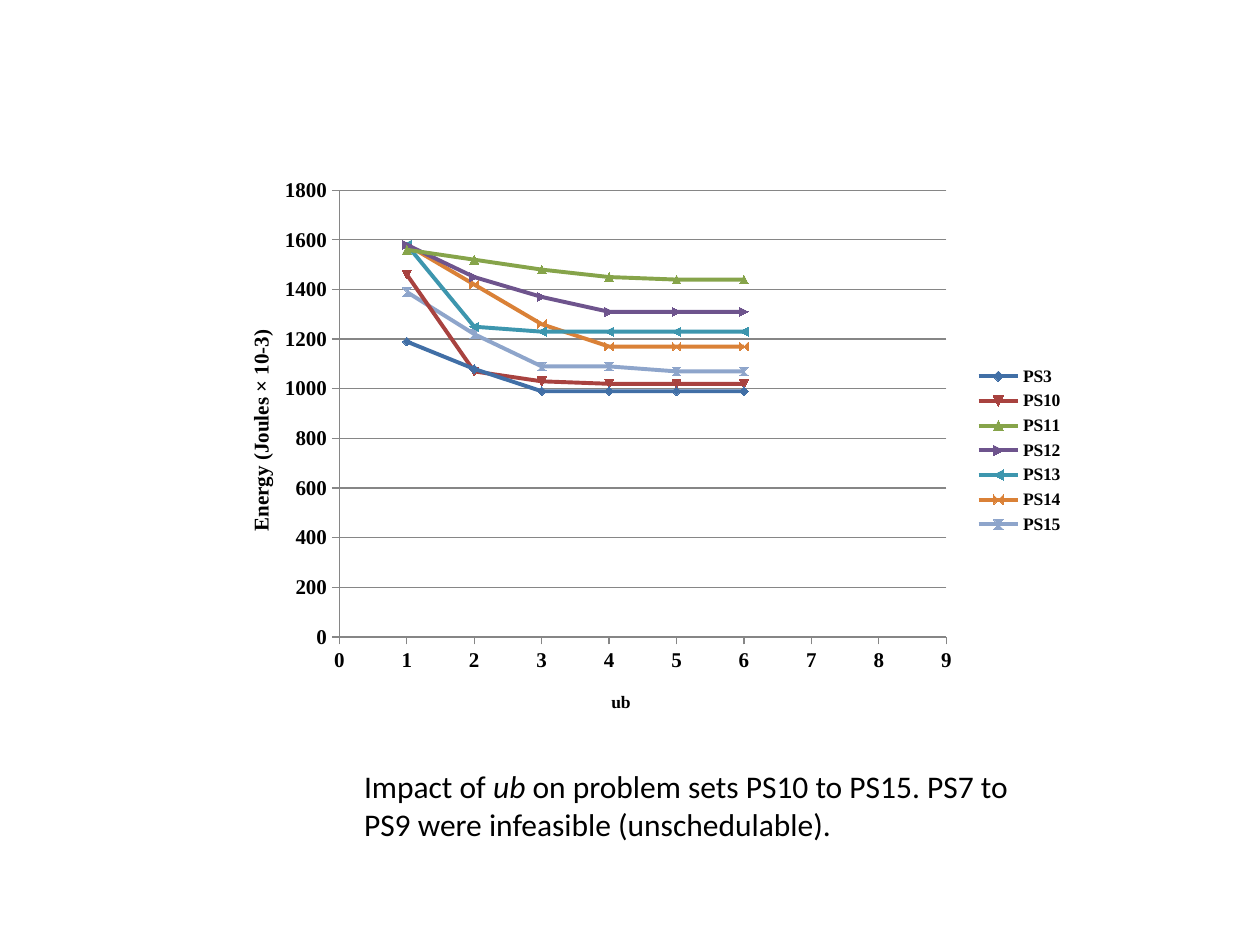
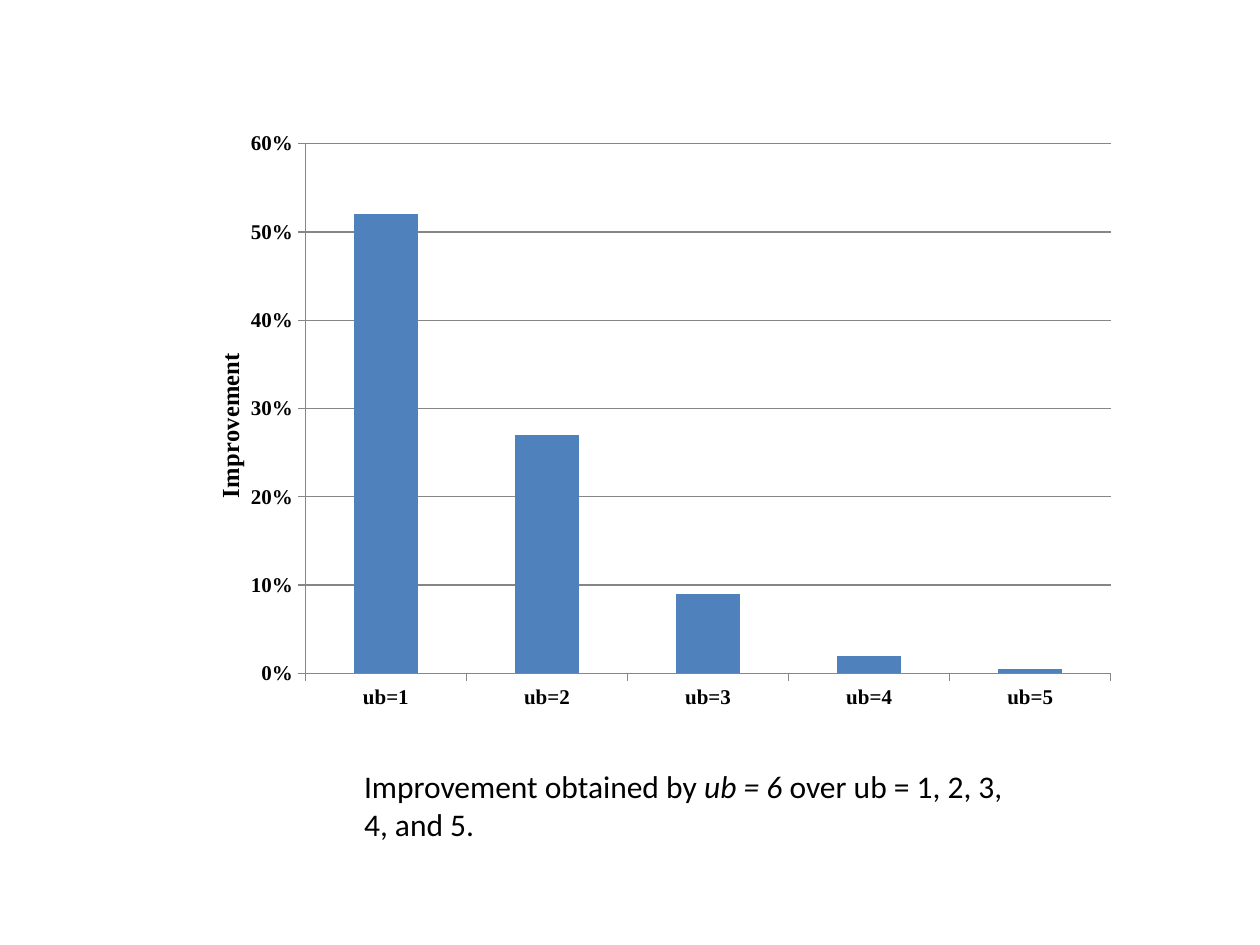
"""Build two chart slides on the impact of the ub bound."""
from lxml.etree import SubElement
from pptx import Presentation
from pptx.chart.data import CategoryChartData, XyChartData
from pptx.dml.color import RGBColor
from pptx.enum.chart import XL_CHART_TYPE, XL_LEGEND_POSITION, XL_TICK_MARK
from pptx.oxml.ns import qn
from pptx.util import Cm, Pt

BLACK = RGBColor(0, 0, 0)
GRID_GRAY = RGBColor(0x86, 0x86, 0x86)
BAR_BLUE = RGBColor(0x4F, 0x81, 0xBD)

ENERGY = [
    ("PS3", RGBColor(0x41, 0x6F, 0xA6), [1190, 1080, 990, 990, 990, 990]),
    ("PS10", RGBColor(0xA8, 0x42, 0x3F), [1460, 1070, 1030, 1020, 1020, 1020]),
    ("PS11", RGBColor(0x86, 0xA4, 0x4A), [1560, 1520, 1480, 1450, 1440, 1440]),
    ("PS12", RGBColor(0x6E, 0x54, 0x8D), [1580, 1450, 1370, 1310, 1310, 1310]),
    ("PS13", RGBColor(0x3D, 0x96, 0xAE), [1580, 1250, 1230, 1230, 1230, 1230]),
    ("PS14", RGBColor(0xDA, 0x81, 0x37), [1580, 1420, 1260, 1170, 1170, 1170]),
    ("PS15", RGBColor(0x8E, 0xA5, 0xCB), [1390, 1220, 1090, 1090, 1070, 1070]),
]
IMPROVEMENT = {"ub=1": 0.52, "ub=2": 0.27, "ub=3": 0.09, "ub=4": 0.02, "ub=5": 0.005}

ENERGY_CAPTION = [
    ("Impact of ", False),
    ("ub ", True),
    ("on problem sets PS10 to PS15. PS7 to PS9 were infeasible (unschedulable).", False),
]
IMPROVEMENT_CAPTION = [
    ("Improvement obtained by ", False),
    ("ub = 6 ", True),
    ("over ub = 1, 2, 3, 4, and 5.", False),
]


def place(parent, position, **settings):
    """Give a chart part a manual layout, in fractions of the chart."""
    layout = parent.find(qn("c:layout"))
    if layout is None:
        layout = SubElement(parent, qn("c:layout"))
        parent.insert(position, layout)
    manual = SubElement(layout, qn("c:manualLayout"))
    for name, value in settings.items():
        SubElement(manual, qn(f"c:{name}")).set("val", str(value))


def style_font(font, size):
    """Set the bold serif type that both charts use."""
    font.name = "Times New Roman"
    font.size = Pt(size)
    font.bold = True
    font.color.rgb = BLACK


def style_line(line, color, width):
    """Set the colour and width of a line."""
    line.color.rgb = color
    line.width = Pt(width)


def add_axis_title(axis, text, size, x, y, upright=False):
    """Write an axis title at a fixed place."""
    title = axis.axis_title
    frame = title.text_frame
    frame.text = text
    style_font(frame.paragraphs[0].font, size)
    if upright:
        body = title._element.find(".//" + qn("a:bodyPr"))
        body.set("rot", "-5400000")
        body.set("vert", "horz")
    place(title._element, 1, xMode="edge", yMode="edge", x=x, y=y)


def add_styled_chart(page, kind, frame, data, plot, top, step):
    """Add a chart with the shared fonts, axes and gridlines."""
    chart = page.shapes.add_chart(kind, *map(Cm, frame), data).chart
    chart.has_title = False
    chart.has_legend = False
    style_font(chart.font, 10)
    values = chart.value_axis
    for axis in (chart.category_axis, values):
        style_font(axis.tick_labels.font, 12)
        axis.major_tick_mark = XL_TICK_MARK.OUTSIDE
        axis.minor_tick_mark = XL_TICK_MARK.NONE
        axis.has_major_gridlines = False
        style_line(axis.format.line, GRID_GRAY, 0.75)
    values.has_major_gridlines = True
    style_line(values.major_gridlines.format.line, GRID_GRAY, 0.75)
    values.minimum_scale, values.maximum_scale, values.major_unit = 0, top, step
    x, y, width, height = plot
    area = chart._chartSpace.find(".//" + qn("c:plotArea"))
    place(area, 0, layoutTarget="inner", xMode="edge", yMode="edge",
          x=x, y=y, w=width, h=height)
    return chart


def add_caption(page, spans):
    """Write the caption below the chart."""
    box = page.shapes.add_textbox(Cm(7.09), Cm(15.34), Cm(13.56), Cm(1.8))
    box.text_frame.word_wrap = True
    para = box.text_frame.paragraphs[0]
    para.font.name = "Calibri"
    para.font.size = Pt(18)
    para.font.color.rgb = BLACK
    for text, italic in spans:
        span = para.add_run()
        span.text = text
        span.font.italic = italic


def add_energy_slide(page):
    """Draw energy against ub for each problem set."""
    data = XyChartData()
    for name, _, energies in ENERGY:
        series = data.add_series(name)
        for bound, energy in enumerate(energies, 1):
            series.add_data_point(bound, energy)
    chart = add_styled_chart(page, XL_CHART_TYPE.XY_SCATTER_LINES,
                             (4.22, 3.38, 17.48, 11.4), data,
                             (0.15, 0.04, 0.7, 0.79), 1800, 200)
    bounds = chart.category_axis
    bounds.minimum_scale, bounds.maximum_scale, bounds.major_unit = 0, 9, 1
    add_axis_title(bounds, "ub", 10, 0.46, 0.92)
    add_axis_title(chart.value_axis, "Energy (Joules × 10-3)", 12, 0.04, 0.28, upright=True)
    for series, (_, color, _) in zip(chart.plots[0].series, ENERGY):
        series.smooth = False
        style_line(series.format.line, color, 2.25)
        marker = series.marker.format
        marker.fill.solid()
        marker.fill.fore_color.rgb = color
        marker.line.color.rgb = color
    chart.has_legend = True
    chart.legend.position = XL_LEGEND_POSITION.RIGHT
    chart.legend.include_in_layout = False
    style_font(chart.legend.font, 10)
    add_caption(page, ENERGY_CAPTION)


def add_improvement_slide(page):
    """Draw the improvement of ub = 6 over smaller bounds."""
    data = CategoryChartData()
    data.categories = list(IMPROVEMENT)
    data.add_series("Series 1", list(IMPROVEMENT.values()))
    chart = add_styled_chart(page, XL_CHART_TYPE.COLUMN_CLUSTERED,
                             (3.45, 2.41, 19.33, 12.14), data,
                             (0.14, 0.04, 0.84, 0.88), 0.6, 0.1)
    add_axis_title(chart.value_axis, "Improvement", 14, 0.04, 0.38, upright=True)
    labels = chart.value_axis.tick_labels
    labels.number_format = "0%"
    labels.number_format_is_linked = False
    plot = chart.plots[0]
    plot.gap_width = 150
    plot.vary_by_categories = False
    fill = plot.series[0].format.fill
    fill.solid()
    fill.fore_color.rgb = BAR_BLUE
    add_caption(page, IMPROVEMENT_CAPTION)


def main():
    """Build and save the deck."""
    deck = Presentation()
    deck.slide_width, deck.slide_height = Cm(25.4), Cm(19.05)
    for build in (add_energy_slide, add_improvement_slide):
        build(deck.slides.add_slide(deck.slide_layouts[6]))
    deck.save("out.pptx")


if __name__ == "__main__":
    main()
